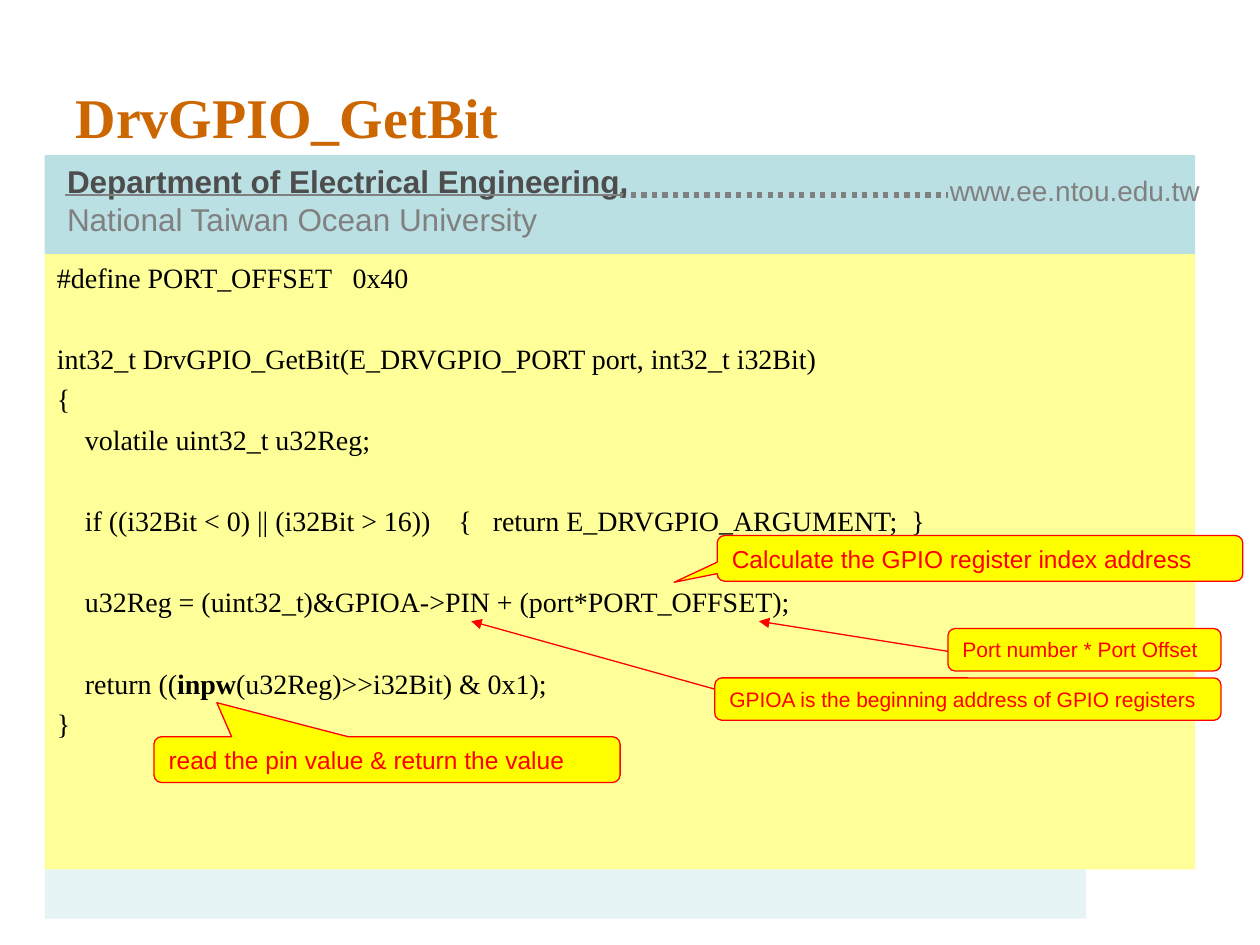
from dataclasses import dataclass
from typing import NamedTuple

import pptx
import pptx.dml.color
import pptx.enum.dml
import pptx.enum.shapes
import pptx.enum.text
import pptx.oxml
import pptx.oxml.ns
import pptx.util

Pt = pptx.util.Pt
SHAPE = pptx.enum.shapes.MSO_SHAPE
ANCHOR = pptx.enum.text.MSO_ANCHOR
LEFT = pptx.enum.text.PP_ALIGN.LEFT
DASH = pptx.enum.dml.MSO_LINE


class Box(NamedTuple):
    x: float
    y: float
    w: float
    h: float

    def inner(self, dx, dy, w, h):
        return Box(self.x + dx, self.y + dy, w, h)

    def emu(self):
        return [Pt(v) for v in self]


@dataclass(frozen=True)
class Theme:
    serif: str = "Times New Roman"
    sans: str = "Arial"
    title: str = "CC6600"
    band: str = "BBE0E3"
    footer: str = "E7F4F5"
    panel: str = "FFFF99"
    code: str = "000000"
    dark: str = "4D4D4D"
    grey: str = "808080"
    note: str = "FFFF00"
    accent: str = "FF0000"
    title_size: float = 32
    dept_size: float = 18
    body_size: float = 16
    callout_size: float = 14
    note_size: float = 12
    thin: float = 0.75
    thick: float = 3
    line_height: float = 19.2
    line_gap: float = 4


T = Theme()

CODE = """#define PORT_OFFSET   0x40

int32_t DrvGPIO_GetBit(E_DRVGPIO_PORT port, int32_t i32Bit)
{
    volatile uint32_t u32Reg;

    if ((i32Bit < 0) || (i32Bit > 16))    {   return E_DRVGPIO_ARGUMENT;  }

    u32Reg = (uint32_t)&GPIOA->PIN + (port*PORT_OFFSET);

    return ((inpw(u32Reg)>>i32Bit) & 0x1);
}"""
BOLD_CALL = "inpw"


def rgb(value):
    return pptx.dml.color.RGBColor.from_string(value)


def add_run(p, text, font, size, color, bold=False):
    r = p.add_run()
    r.text = text
    r.font.name, r.font.size, r.font.bold = font, Pt(size), bold
    r.font.color.rgb = rgb(color)


def add_block(slide, box, fill, kind=SHAPE.RECTANGLE, line=None):
    sp = slide.shapes.add_shape(kind, *box.emu())
    sp.shadow.inherit = False
    sp.fill.solid()
    sp.fill.fore_color.rgb = rgb(fill)
    if line:
        sp.line.color.rgb = rgb(line)
        sp.line.width = Pt(T.thin)
    else:
        sp.line.fill.background()
    tf = sp.text_frame
    tf.word_wrap = True
    tf.vertical_anchor = ANCHOR.TOP
    tf.paragraphs[0].alignment = LEFT
    return sp


def add_label(slide, box, runs, wrap=True):
    tf = slide.shapes.add_textbox(*box.emu()).text_frame
    tf.word_wrap = wrap
    for run in runs:
        add_run(tf.paragraphs[0], *run)


def add_line(slide, start, end, color, width, dash=None, arrow=False):
    cx = slide.shapes.add_connector(
        pptx.enum.shapes.MSO_CONNECTOR.STRAIGHT, *[Pt(v) for v in (*start, *end)])
    cx.line.color.rgb = rgb(color)
    cx.line.width = Pt(width)
    if dash:
        cx.line.dash_style = dash
    if arrow:
        tail = pptx.oxml.parse_xml(
            '<a:tailEnd type="triangle" %s/>' % pptx.oxml.ns.nsdecls("a"))
        cx.line._get_or_add_ln().append(tail)
    cx._element.spPr.append(
        pptx.oxml.parse_xml("<a:effectLst %s/>" % pptx.oxml.ns.nsdecls("a")))


def add_title(slide, box, text):
    sp = slide.shapes.title
    sp.left, sp.top, sp.width, sp.height = box.emu()
    sp.text_frame.vertical_anchor = ANCHOR.MIDDLE
    p = sp.text_frame.paragraphs[0]
    p.alignment = LEFT
    add_run(p, text, T.serif, T.title_size, T.title, True)


def add_header(slide, box):
    """Coloured band with the department, a rule and the web address."""
    add_block(slide, box, T.band)
    rule_y, joint = box.y + 22.8, box.x + 329
    add_line(slide, (joint, rule_y), (joint + 187, rule_y), T.grey, T.thick,
             DASH.ROUND_DOT)
    add_label(slide, box.inner(5.7, 0.5, 402.5, 50.4), [
        ("Department of Electrical Engineering,", T.sans, T.dept_size, T.dark, True),
        (" National Taiwan Ocean University", T.sans, T.dept_size, T.grey)])
    add_line(slide, (joint, rule_y), (box.x + 11.5, rule_y), T.grey, T.thin)
    add_label(slide, box.inner(510.2, 7.2, 160, 26.6),
              [("www.ee.ntou.edu.tw", T.sans, T.body_size, T.grey)], wrap=False)


def add_code(slide, box, code):
    """Code panel; an empty source line becomes extra space before the next."""
    tf = add_block(slide, box, T.panel).text_frame
    p, gap = tf.paragraphs[0], 0
    for line in code.splitlines():
        if not line:
            gap += T.line_height + T.line_gap
            continue
        if p.runs:
            p = tf.add_paragraph()
            p.alignment = LEFT
            p.space_before = Pt(gap + T.line_gap)
        gap = 0
        before, call, after = line.partition(BOLD_CALL)
        for text, bold in ((before, False), (call, True), (after, False)):
            if text:
                add_run(p, text, T.serif, T.body_size, T.code, bold)


def add_note(slide, box, text, size, pointer=None, arrow=None):
    """Rounded note; pointer sets a callout tip, arrow is (start dy, tip)."""
    kind = SHAPE.ROUNDED_RECTANGULAR_CALLOUT if pointer else SHAPE.ROUNDED_RECTANGLE
    sp = add_block(slide, box, T.note, kind, T.accent)
    for i, value in enumerate((*(pointer or ()), 0.167)):
        sp.adjustments[i] = value
    add_run(sp.text_frame.paragraphs[0], text, T.sans, size, T.accent)
    if arrow:
        dy, tip = arrow
        add_line(slide, (box.x, box.y + dy), tip, T.accent, T.thin, arrow=True)


def main():
    prs = pptx.Presentation()
    prs.slide_width, prs.slide_height = Pt(720), Pt(540)
    slide = prs.slides.add_slide(prs.slide_layouts[5])
    panel = Box(25.5, 145.2, 657.4, 351.6)

    add_block(slide, Box(panel.x, 496.8, 595.2, 28.1), T.footer)
    add_header(slide, Box(panel.x, 88.6, panel.w, 56.6))
    add_title(slide, Box(36, 21.6, 648, 90), "DrvGPIO_GetBit")
    add_code(slide, panel, CODE)

    add_note(slide, panel.inner(384.3, 160.8, 300.4, 26.2),
             "Calculate the GPIO register index address",
             T.callout_size, pointer=(-0.582, 0.522))
    add_note(slide, panel.inner(383, 242.2, 289.2, 24.2),
             "GPIOA is the beginning address of GPIO registers",
             T.note_size, arrow=(6.4, (269.3, 355)))
    add_note(slide, panel.inner(516.2, 214, 156, 24.2),
             "Port number * Port Offset",
             T.note_size, arrow=(13, (433.7, 355)))
    add_note(slide, panel.inner(62.5, 275.8, 266.4, 26.2),
             "read the pin value & return the value",
             T.callout_size, pointer=(-0.365, -1.243))
    prs.save("out.pptx")


if __name__ == "__main__":
    main()
